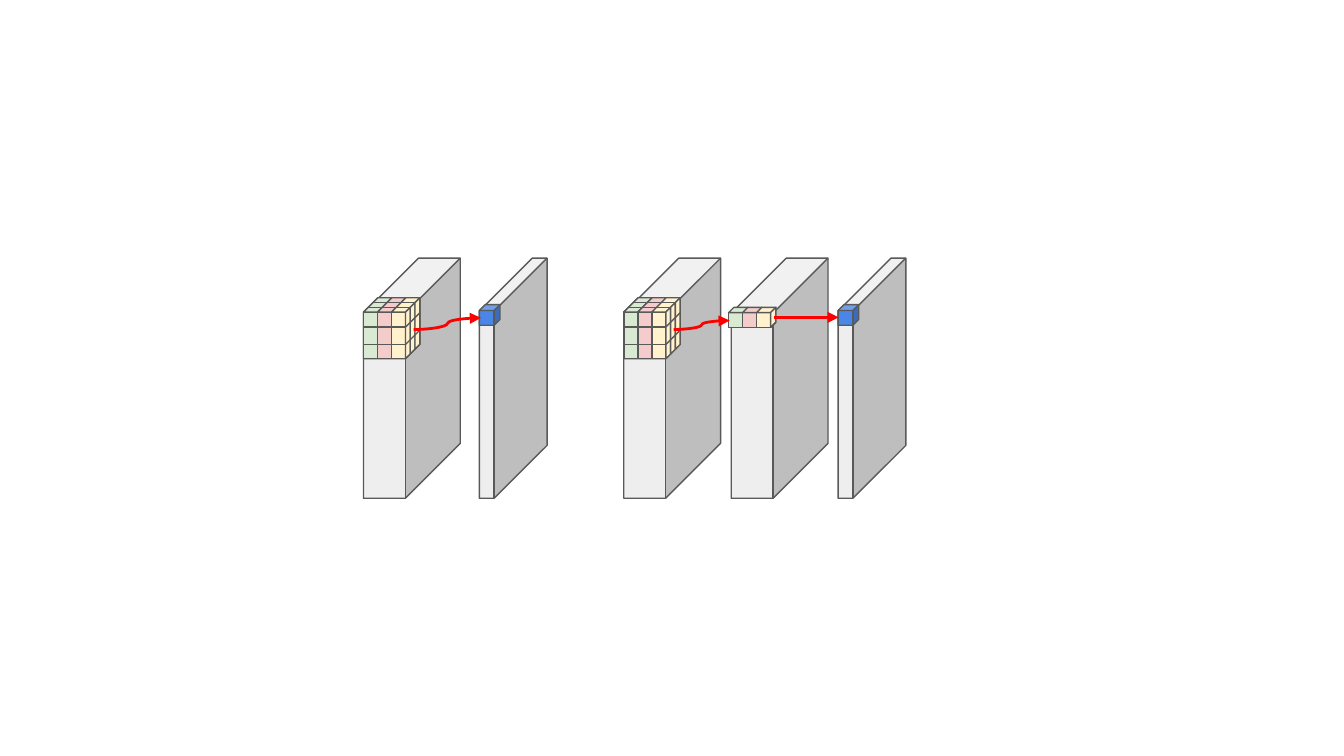
from lxml.etree import SubElement
from pptx import Presentation
from pptx.dml.color import RGBColor
from pptx.enum.shapes import MSO_CONNECTOR, MSO_SHAPE
from pptx.oxml.ns import qn
from pptx.util import Cm, Pt

COLORS = {
    "volume": "EEEEEE",
    "edge": "595959",
    "output": "4A86E8",
    "arrow": "FF0000",
    "green": "D9EAD3",
    "pink": "F4CCCC",
    "yellow": "FFF2CC",
}
CHANNELS = ("green", "pink", "yellow")
CELL = 0.265
FRONT = CELL * len(CHANNELS)
VOLUME_TOP, VOLUME_HEIGHT = 4.88, 4.54
WIDE, WIDE_DEPTH = 1.83, 1.04
THIN, THIN_DEPTH = 1.28, 1.0
PATCH_TOP, PATCH_DEPTH, PATCH_HEIGHT = 5.63, 0.27, 1.15
PATCH_ROWS = (0.28, 0.61)


def color(name):
    return RGBColor.from_string(COLORS[name])


def paint(shape, fill):
    shape.shadow.inherit = False
    shape.fill.solid()
    shape.fill.fore_color.rgb = color(fill)
    shape.line.color.rgb = color("edge")
    shape.line.width = Pt(0.75)


def add_solid(page, kind, box, fill, adjust=None):
    shape = page.shapes.add_shape(kind, *map(Cm, box))
    if adjust is not None:
        shape.adjustments[0] = adjust
    paint(shape, fill)


def add_cube(page, box, depth, fill="volume"):
    add_solid(page, MSO_SHAPE.CUBE, box, fill, depth / min(box[2:]))


def add_polygon(page, points, fill):
    corners = [(Cm(x), Cm(y)) for x, y in points]
    builder = page.shapes.build_freeform(*corners[0])
    builder.add_line_segments(corners[1:], close=True)
    paint(builder.convert_to_shape(), fill)


def add_line(page, start, end, kind=MSO_CONNECTOR.STRAIGHT, stroke="edge", width=0.75):
    line = page.shapes.add_connector(kind, *map(Cm, start + end))
    line.line.color.rgb = color(stroke)
    line.line.width = Pt(width)
    SubElement(line.element.spPr, qn("a:effectLst"))
    return line


def add_arrow(page, start, end):
    arrow = add_line(page, start, end, MSO_CONNECTOR.CURVE, "arrow", 1.5)
    outline = arrow.element.spPr.find(qn("a:ln"))
    SubElement(outline, qn("a:tailEnd"), type="triangle")


def add_channels(page, box, depth):
    left, top, _, height = box
    for index, channel in enumerate(CHANNELS):
        x = left + index * CELL
        add_solid(page, MSO_SHAPE.RECTANGLE, (x, top + depth, CELL, height - depth), channel)
        add_solid(page, MSO_SHAPE.PARALLELOGRAM, (x, top, CELL + depth, depth), channel, 1)


def add_side(page, box, depth, slices):
    left, top, _, height = box
    right, front_top, bottom = left + FRONT, top + depth, top + height
    step = depth / slices
    for index in range(slices):
        near, far = index * step, (index + 1) * step
        add_polygon(page, [
            (right + near, front_top - near),
            (right + far, front_top - far),
            (right + far, bottom - far),
            (right + near, bottom - near),
        ], "yellow")


def add_patch(page, box):
    left, top, _, _ = box
    depth = PATCH_DEPTH
    right, front_top = left + FRONT, top + depth
    add_cube(page, box, depth)
    add_channels(page, box, depth)
    for shift in (depth / 3, depth * 2 / 3):
        y = front_top - shift
        add_line(page, (left + shift, y), (right + shift, y))
    add_side(page, box, depth, 3)
    for row in PATCH_ROWS:
        y = front_top + row
        add_line(page, (left, y), (right, y))
        add_line(page, (right, y), (right + depth, y - depth))


def add_strip(page, box):
    left, top, _, height = box
    depth = 0.1
    right, bottom = left + FRONT, top + height
    add_channels(page, box, depth)
    add_side(page, box, depth, 1)
    add_line(page, (left + depth, top), (right + depth, top))
    add_line(page, (left, bottom), (right, bottom))
    add_line(page, (right, bottom), (right + depth, bottom - depth))


def add_input(page, left):
    add_cube(page, (left, VOLUME_TOP, WIDE, VOLUME_HEIGHT), WIDE_DEPTH)
    add_patch(page, (left, PATCH_TOP, FRONT + PATCH_DEPTH, PATCH_HEIGHT))


def add_middle(page, left):
    add_cube(page, (left, VOLUME_TOP, WIDE, VOLUME_HEIGHT), WIDE_DEPTH)
    add_strip(page, (left - 0.05, 5.81, FRONT + 0.1, 0.38))


def add_output(page, left):
    add_cube(page, (left, VOLUME_TOP, THIN, VOLUME_HEIGHT), THIN_DEPTH)
    add_cube(page, (left, 5.76, 0.39, 0.39), 0.11, "output")


def add_standard_convolution(page, left):
    add_input(page, left)
    add_output(page, left + 2.19)
    add_arrow(page, (left + 0.95, 6.23), (left + 2.22, 6.01))


def add_separable_convolution(page, left):
    add_input(page, left)
    add_middle(page, left + 2.03)
    add_output(page, left + 4.05)
    add_arrow(page, (left + 0.94, 6.23), (left + 2.0, 6.06))
    add_arrow(page, (left + 2.84, 6), (left + 4.06, 6))


def main():
    deck = Presentation()
    deck.slide_width, deck.slide_height = Cm(25.4), Cm(14.29)
    page = deck.slides.add_slide(deck.slide_layouts[6])
    add_standard_convolution(page, 6.87)
    add_separable_convolution(page, 11.79)
    deck.save("out.pptx")


if __name__ == "__main__":
    main()
